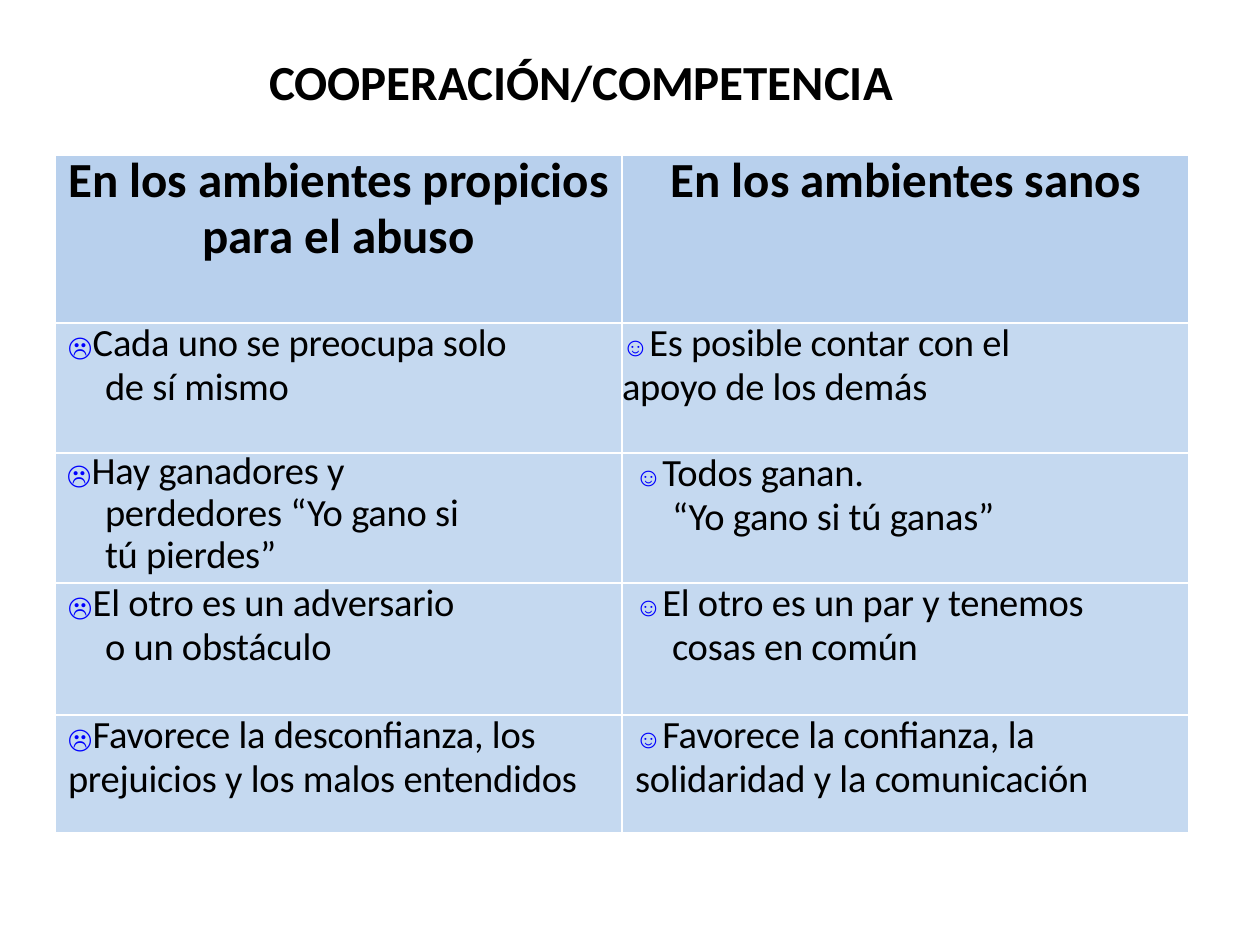
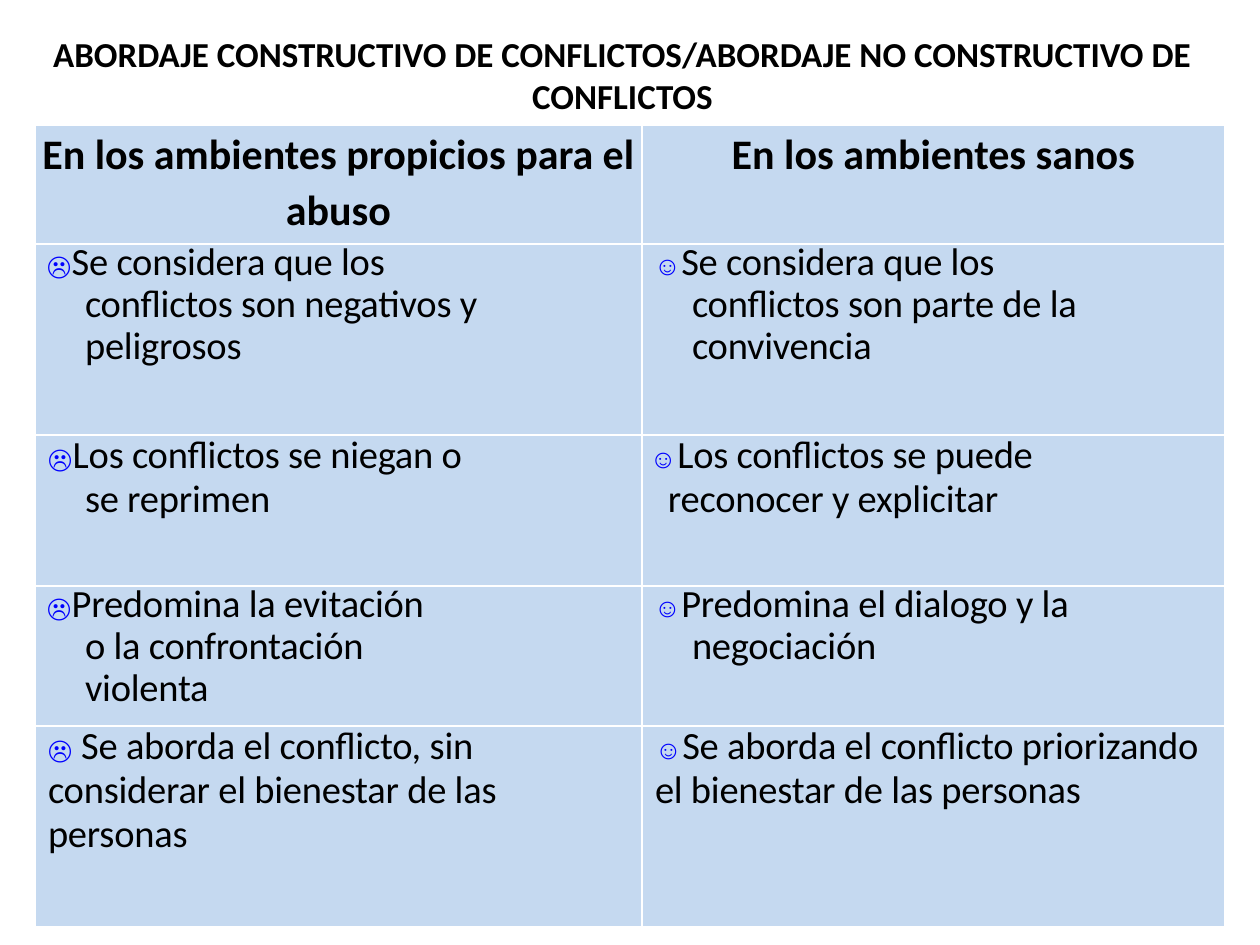
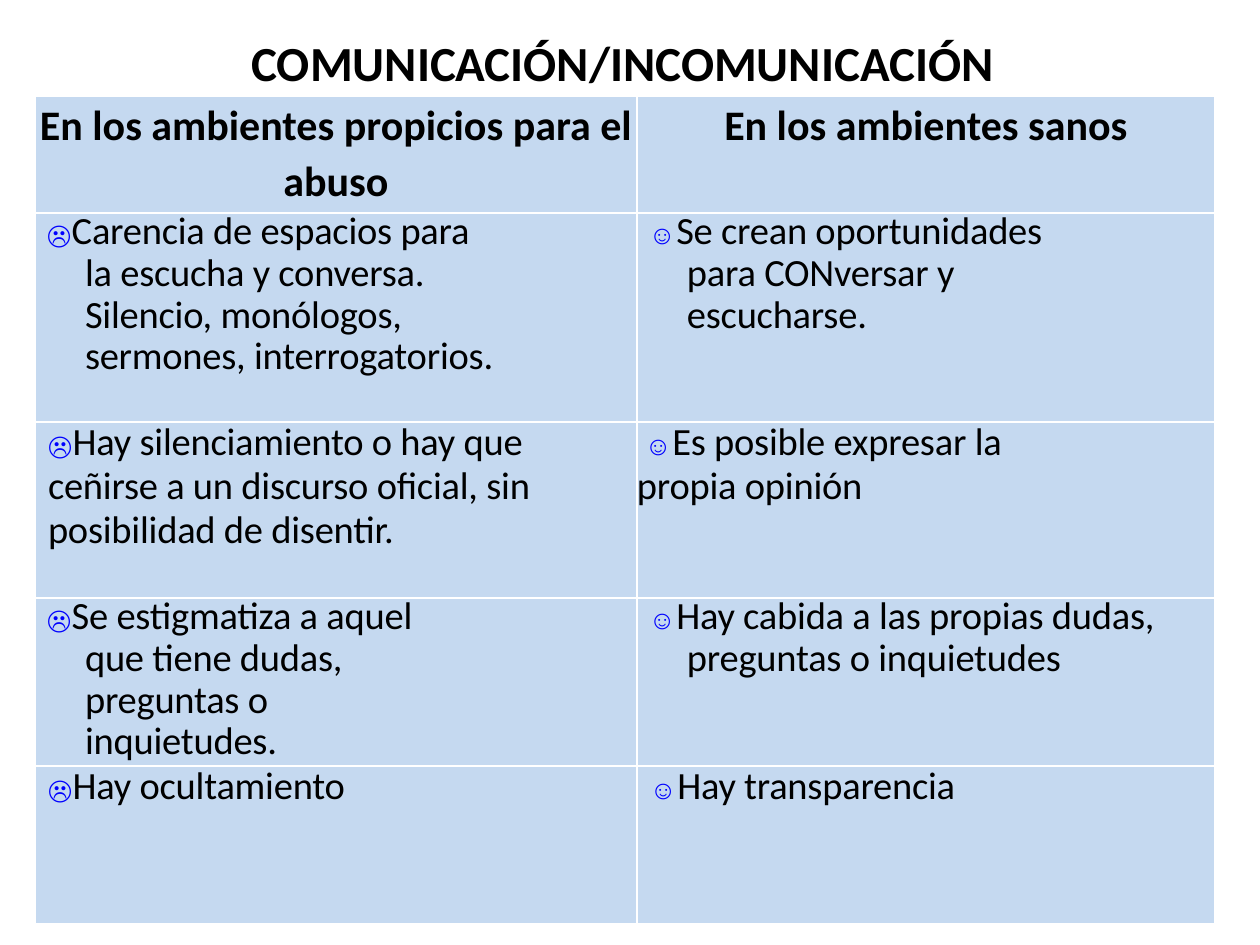
from typing import NamedTuple

import pptx
import pptx.dml.color
import pptx.enum.text
import pptx.oxml
import pptx.oxml.ns
import pptx.util

SCALE = 914400 / 126
COLORS = {"ink": "000000", "icon": "0000FF", "head": "B8D0ED", "cell": "C5D9F0", "rule": "FFFFFF"}
ICONS = ("☹", "☺")
HEADS = ("En los ambientes propicios para el abuso", "En los ambientes sanos")
CENTER = pptx.enum.text.PP_ALIGN.CENTER


class Note(NamedTuple):
    """Cell text with its margins in px and its line height in points."""
    text: str
    more: str = ""
    left: int = 13
    first: int = 0
    right: int = 0
    next: int = 50
    lead: float = 25.1


class Page(NamedTuple):
    """Title box and table of one slide."""
    title: str
    size: int
    box: tuple[int, int, int, int]
    spot: tuple[int, int]
    cols: tuple[int, int]
    rows: tuple[int, ...]
    head: str
    big: int
    notes: list[tuple[Note, Note]]


def hung(text: str, right: int = 0) -> Note:
    """Return a note whose icon hangs left of the text."""
    return Note(text, left=50, first=-38, right=right, lead=23.9)


PAGES = [
    Page("COOPERACIÓN/COMPETENCIA", 28, (184, 45, 794, 72), (55, 155), (567, 567),
         (168, 130, 130, 132, 118), "head", 28, [
        (Note("Cada uno se preocupa solo", "de sí mismo"),
         Note("Es posible contar con el", "apoyo de los demás", left=0, next=0)),
        (hung("Hay ganadores y perdedores “Yo gano si tú pierdes”", 142),
         Note("Todos ganan.", "“Yo gano si tú ganas”")),
        (Note("El otro es un adversario", "o un obstáculo"),
         Note("El otro es un par y tenemos", "cosas en común")),
        (Note("Favorece la desconfianza, los prejuicios y los malos entendidos"),
         Note("Favorece la confianza, la solidaridad y la comunicación", right=20)),
    ]),
    Page("ABORDAJE CONSTRUCTIVO DE CONFLICTOS/ABORDAJE NO CONSTRUCTIVO DE CONFLICTOS", 20,
         (0, 26, 1245, 97), (35, 125), (607, 583), (119, 191, 151, 140, 201), "cell", 24, [
        (hung("Se considera que los conflictos son negativos y peligrosos", 132),
         hung("Se considera que los conflictos son parte de la convivencia", 115)),
        (Note("Los conflictos se niegan o", "se reprimen"),
         Note("Los conflictos se puede", "reconocer y explicitar", left=0, first=8, next=26)),
        (hung("Predomina la evitación o la confrontación violenta", 202),
         hung("Predomina el dialogo y la negociación")),
        (Note(" Se aborda el conflicto, sin considerar el bienestar de las personas", right=82),
         Note("Se aborda el conflicto priorizando el bienestar de las personas", right=14)),
    ]),
    Page("COMUNICACIÓN/INCOMUNICACIÓN", 28, (0, 26, 1245, 72), (35, 96), (602, 578),
         (117, 209, 176, 168, 158), "cell", 24, [
        (hung("Carencia de espacios para la escucha y conversa. "
              "Silencio, monólogos, sermones, interrogatorios.", 137),
         hung("Se crean oportunidades para CONversar y escucharse.", 135)),
        (Note("Hay silenciamiento o hay que ceñirse a un discurso oficial, "
              "sin posibilidad de disentir.", right=57),
         Note("Es posible expresar la propia opinión", left=0, first=8, right=155)),
        (hung("Se estigmatiza a aquel que tiene dudas, preguntas o inquietudes.", 197),
         hung("Hay cabida a las propias dudas, preguntas o inquietudes")),
        (Note("Hay ocultamiento"), Note("Hay transparencia")),
    ]),
]


def px(size: float) -> pptx.util.Emu:
    """Turn px into EMU."""
    return pptx.util.Emu(round(size * SCALE))


def shade(name: str) -> pptx.dml.color.RGBColor:
    """Return a named colour."""
    return pptx.dml.color.RGBColor.from_string(COLORS[name])


def write(para, text: str, *, size: int = 22, font: str = "Calibri", color: str = "ink",
          bold: bool = False, space: int = 0) -> None:
    """Add a run of formatted text to a paragraph."""
    run = para.add_run()
    run.text = text
    run.font.size = pptx.util.Pt(size)
    run.font.name = font
    run.font.bold = bold
    run.font.color.rgb = shade(color)
    if space:
        run.font._element.set("spc", str(space))


def margin(para, left: int, first: int, right: int, lead: float) -> None:
    """Set the margins and line height of a paragraph."""
    props = para._p.get_or_add_pPr()
    for key, size in (("marL", left), ("indent", first), ("marR", right)):
        props.set(key, str(px(size)))
    para.line_spacing = pptx.util.Pt(lead)


def dress(cell, color: str) -> None:
    """Give a cell its borders, fill and zero insets."""
    cell.margin_left = cell.margin_top = cell.margin_right = cell.margin_bottom = 0
    props = cell._tc.get_or_add_tcPr()
    for side in ("lnL", "lnR", "lnT", "lnB"):
        props.append(pptx.oxml.parse_xml(
            f'<a:{side} {pptx.oxml.ns.nsdecls("a")} w="12700"><a:solidFill>'
            f'<a:srgbClr val="{COLORS["rule"]}"/></a:solidFill></a:{side}>'))
    cell.fill.solid()
    cell.fill.fore_color.rgb = shade(color)


def jot(cell, note: Note, icon: str) -> None:
    """Write a note with its icon into a cell."""
    para = cell.text_frame.paragraphs[0]
    margin(para, note.left, note.first, note.right, note.lead)
    write(para, icon, size=15, font="Arial", color="icon", space=30)
    write(para, note.text, space=-10)
    if note.more:
        para = cell.text_frame.add_paragraph()
        margin(para, note.next, 0, 0, note.lead)
        write(para, note.more, space=-10)


def grid(slide, page: Page) -> None:
    """Draw the two-column table of a page."""
    table = slide.shapes.add_table(
        len(page.rows), len(page.cols), *map(px, page.spot),
        px(sum(page.cols)), px(sum(page.rows))).table
    table.first_row = table.horz_banding = False
    for col, width in zip(table.columns, page.cols):
        col.width = px(width)
    for row, height in zip(table.rows, page.rows):
        row.height = px(height)
    for col, head in enumerate(HEADS):
        cell = table.cell(0, col)
        dress(cell, page.head)
        para = cell.text_frame.paragraphs[0]
        para.alignment = CENTER
        para.line_spacing = pptx.util.Pt(32)
        write(para, head, size=page.big, bold=True)
        for row, pair in enumerate(page.notes, 1):
            cell = table.cell(row, col)
            dress(cell, "cell")
            jot(cell, pair[col], ICONS[col])


def title(slide, page: Page) -> None:
    """Draw the centred title of a page."""
    frame = slide.shapes.add_textbox(*map(px, page.box)).text_frame
    frame.word_wrap = True
    frame.auto_size = pptx.enum.text.MSO_AUTO_SIZE.SHAPE_TO_FIT_TEXT
    para = frame.paragraphs[0]
    para.alignment = CENTER
    write(para, page.title, size=page.size, bold=True)


def main() -> None:
    """Build and save the deck."""
    deck = pptx.Presentation()
    deck.slide_width, deck.slide_height = px(1260), px(945)
    for page in PAGES:
        slide = deck.slides.add_slide(deck.slide_layouts[6])
        grid(slide, page)
        title(slide, page)
    deck.save("out.pptx")


if __name__ == "__main__":
    main()
